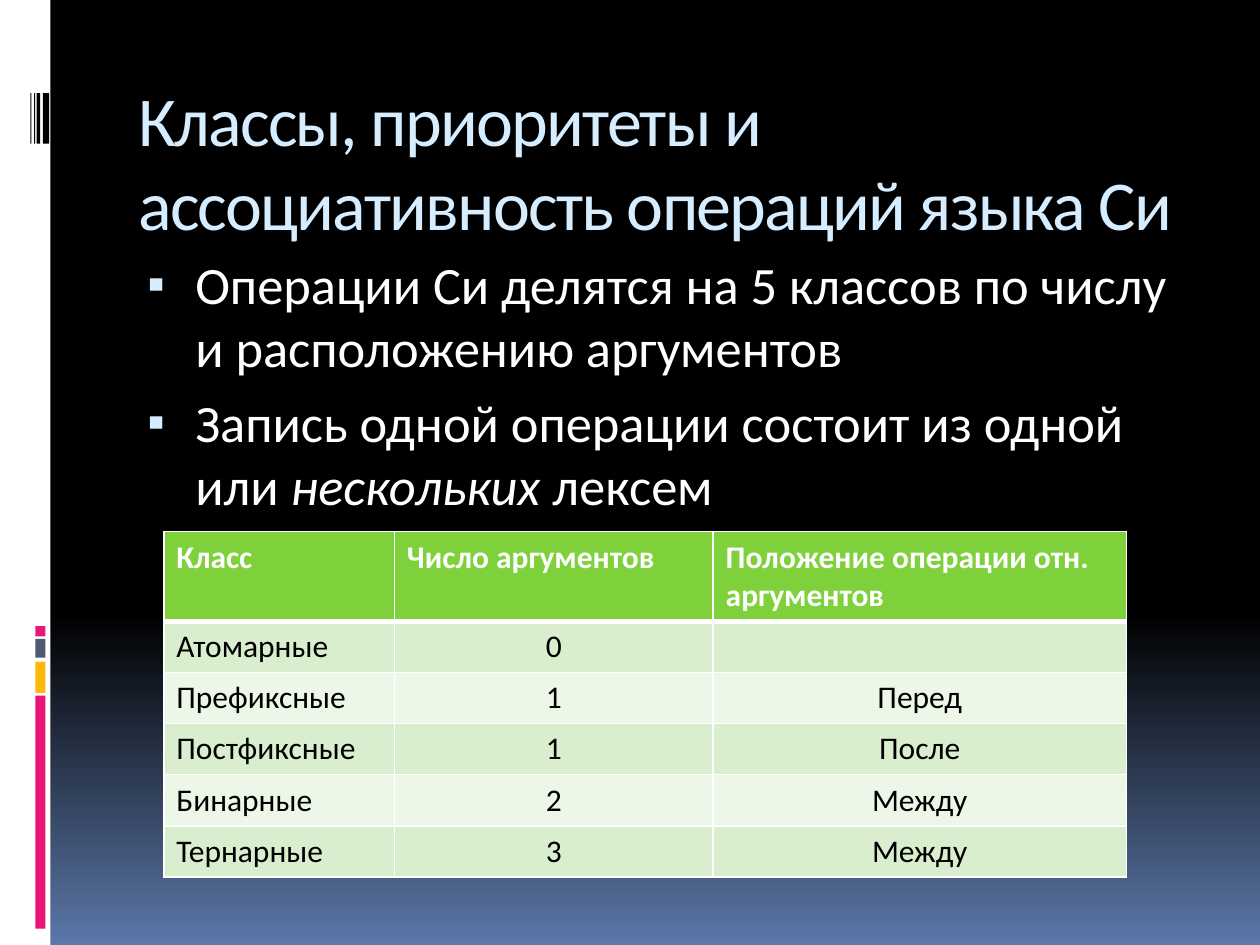
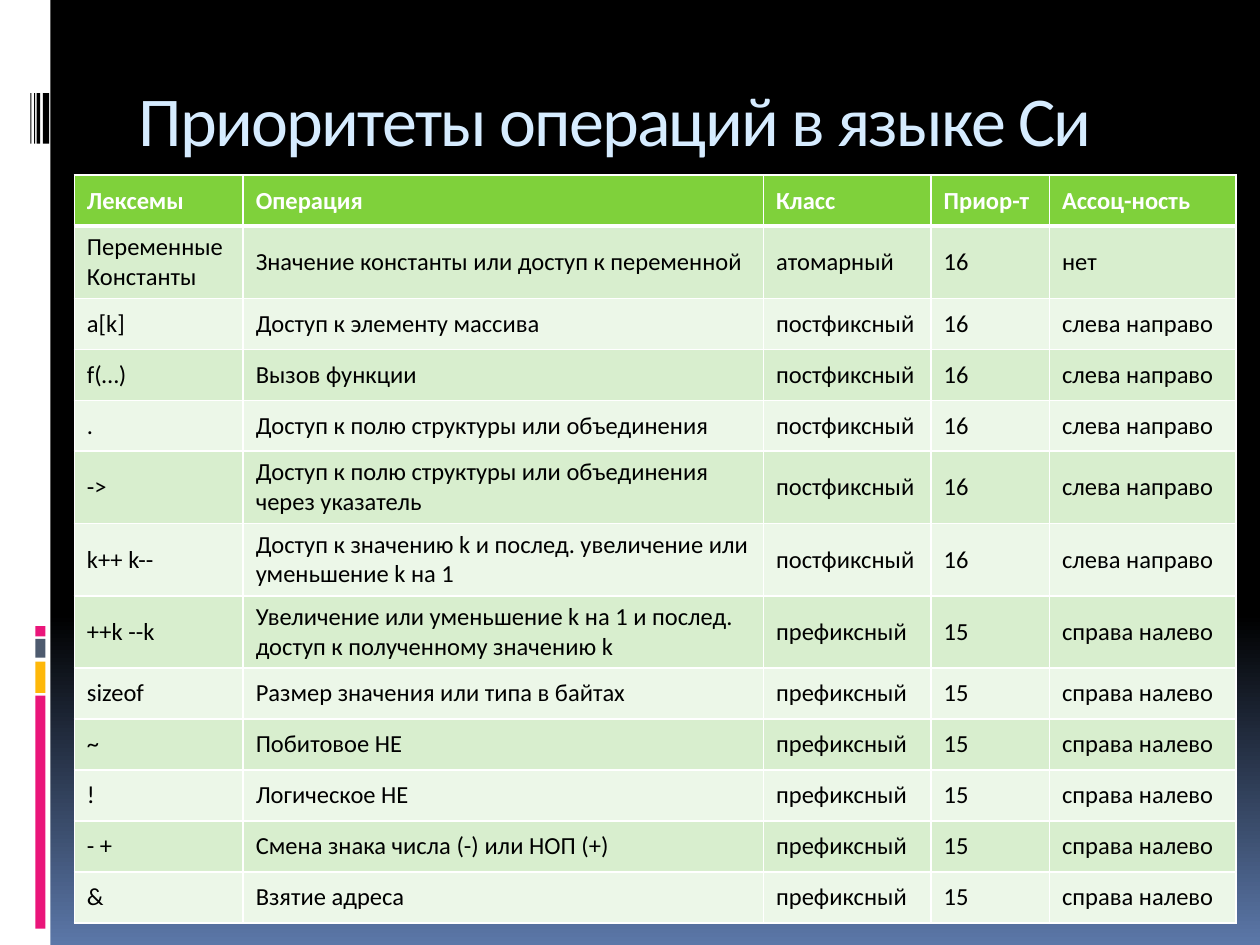
from copy import deepcopy

from lxml import etree
from pptx import Presentation
from pptx import util as u
from pptx.dml.color import RGBColor
from pptx.enum import shapes, text
from pptx.oxml.ns import qn

FONT = "Calibri"
BLACK, WHITE, NIGHT = "000000", "FFFFFF", "5B77A8"
PALE_BLUE, PINK, AMBER, SLATE = "D6ECFF", "EA157A", "FEB80A", "4E5B6F"
HEADER_GREEN, ROW_GREENS = "7FD13B", ("D8EECE", "ECF7E8")

TITLE_BOX = (1, 0.56, 8.5, 1)
BODY_BOX = (1, 1.95, 8.5, 5)
STRIP_BOX = (0, 0, 0.4, 7.5)
CLASSES_BOX = (1.3, 4.22, 7.64, 2.73)
PRIORITIES_BOX = (0.59, 1.39, 9.21, 5.92)


def colour(hex_code):
    """Turn a hex string into a colour."""
    return RGBColor.from_string(hex_code)


def place(part, box):
    """Move a shape to a box given in inches."""
    part.left, part.top, part.width, part.height = map(u.Inches, box)


def add_run(paragraph, words, size, hue, bold=False, italic=False):
    """Append one formatted run and return it."""
    run = paragraph.add_run()
    run.text = words
    font = run.font
    font.name, font.size, font.bold, font.italic = FONT, u.Pt(size), bold, italic
    font.color.rgb = colour(hue)
    return run


def paint_background(master):
    """Give the master a black sky that turns blue at the bottom."""
    fill = master.background.fill
    fill.gradient()
    fill.gradient_angle = 270
    stop_list = next(master.element.iter(qn("a:gsLst")))
    stop_list.insert(1, deepcopy(stop_list[0]))
    for stop, (share, hue) in zip(fill.gradient_stops,
                                  ((0, BLACK), (0.65, BLACK), (1, NIGHT))):
        stop.position = share
        stop.color.rgb = colour(hue)


def add_side_strip(slide, master, box):
    """Draw the white strip with its bars and move it to the master."""
    left, top, width, height = box
    bars = [(0, 0, width, height, WHITE)]
    bars += [(0.28, y, 0.08, tall, hue) for y, tall, hue in (
        (5.52, 1.85, PINK), (5.25, 0.25, AMBER),
        (5.07, 0.15, SLATE), (4.97, 0.08, PINK))]
    bars += [(x, 0.74, wide, 0.4, BLACK) for x, wide in (
        (0.34, 0.05), (0.29, 0.03), (0.27, 0.01), (0.24, 0.01))]
    for depth, (x, y, wide, tall, hue) in enumerate(bars):
        bar = slide.shapes.add_shape(
            shapes.MSO_SHAPE.RECTANGLE,
            *map(u.Inches, (left + x, top + y, wide, tall)))
        bar.shadow.inherit = False
        bar.fill.solid()
        bar.fill.fore_color.rgb = colour(hue)
        bar.line.fill.background()
        master.shapes.element.insert(2 + depth, bar.element)


def prepare_frame(placeholder, box):
    """Place a placeholder and return its emptied, top-anchored text frame."""
    place(placeholder, box)
    frame = placeholder.text_frame
    frame.word_wrap = True
    frame.auto_size = text.MSO_AUTO_SIZE.NONE
    frame.vertical_anchor = text.MSO_ANCHOR.TOP
    return frame


def add_title(slide, words, box=TITLE_BOX):
    """Write the slide title in the shared style."""
    paragraph = prepare_frame(slide.shapes.title, box).paragraphs[0]
    paragraph.alignment = text.PP_ALIGN.LEFT
    run = add_run(paragraph, words, 40, PALE_BLUE)
    run.font._element.set("spc", "-100")


def set_bullet(paragraph):
    """Give a paragraph the hanging square bullet."""
    props = paragraph._p.get_or_add_pPr()
    props.set("marL", str(u.Inches(0.45)))
    props.set("indent", str(u.Inches(-0.38)))
    tint = etree.SubElement(props, qn("a:buClr"))
    etree.SubElement(tint, qn("a:srgbClr"), val=PALE_BLUE)
    etree.SubElement(props, qn("a:buSzPct"), val="95000")
    etree.SubElement(props, qn("a:buChar"), char="▪")


def add_bullets(slide, points, box):
    """Fill the body; each point is a list of (words, italic) runs."""
    frame = prepare_frame(slide.placeholders[1], box)
    for index, point in enumerate(points):
        paragraph = frame.add_paragraph() if index else frame.paragraphs[0]
        paragraph.space_before = u.Pt(7)
        set_bullet(paragraph)
        for words, italic in point:
            add_run(paragraph, words, 30, WHITE, italic=italic)


def set_borders(cell, top, bottom):
    """Draw white cell borders, with the top and bottom widths in points."""
    props = cell._tc.get_or_add_tcPr()
    for side, points in (("L", 1), ("R", 1), ("T", top), ("B", bottom)):
        line = etree.SubElement(props, qn("a:ln" + side), w=str(u.Pt(points)))
        solid = etree.SubElement(line, qn("a:solidFill"))
        etree.SubElement(solid, qn("a:srgbClr"), val=WHITE)


def add_green_table(slide, rows, box, columns, size, tall_rows, tall,
                    centred=(), anchor=text.MSO_ANCHOR.TOP):
    """Add a banded table; rows outside tall_rows share the height left over."""
    table = slide.shapes.add_table(
        len(rows), len(columns), *map(u.Inches, box)).table
    for column, width in zip(table.columns, columns):
        column.width = u.Inches(width)
    short = (box[3] - tall * len(tall_rows)) / (len(rows) - len(tall_rows))
    for r, row in enumerate(rows):
        table.rows[r].height = u.Inches(tall if r in tall_rows else short)
        for c, words in enumerate(row):
            cell = table.cell(r, c)
            set_borders(cell, 3 if r == 1 else 1, 1 if r else 3)
            cell.fill.solid()
            cell.fill.fore_color.rgb = colour(
                ROW_GREENS[(r - 1) % 2] if r else HEADER_GREEN)
            cell.vertical_anchor = anchor
            for n, line in enumerate(words.split("\n") if words else ()):
                frame = cell.text_frame
                paragraph = frame.add_paragraph() if n else frame.paragraphs[0]
                if r and c in centred:
                    paragraph.alignment = text.PP_ALIGN.CENTER
                add_run(paragraph, line, size, BLACK if r else WHITE, bold=not r)


def build_classes_slide(slide):
    """Classes of operations: two points above a table."""
    add_title(slide, "Классы, приоритеты и ассоциативность операций языка Си")
    add_bullets(slide, [
        [("Операции Си делятся на 5 классов по числу и расположению аргументов",
          False)],
        [("Запись одной операции состоит из одной или ", False),
         ("нескольких ", True), ("лексем", False)],
    ], BODY_BOX)
    classes = [
        ("Класс", "Число аргументов", "Положение операции отн. аргументов"),
        ("Атомарные", "0", ""),
        ("Префиксные", "1", "Перед"),
        ("Постфиксные", "1", "После"),
        ("Бинарные", "2", "Между"),
        ("Тернарные", "3", "Между"),
    ]
    add_green_table(slide, classes, CLASSES_BOX, (1.83, 2.53, 3.28), 18,
                    tall_rows=(0,), tall=0.7, centred=(1, 2))


def build_priorities_slide(slide):
    """Priorities of operations: one large table."""
    add_title(slide, "Приоритеты операций в языке Си")
    postfix = ("постфиксный", "16", "слева направо")
    prefix = ("префиксный", "15", "справа налево")
    priorities = [
        ("Лексемы", "Операция", "Класс", "Приор-т", "Ассоц-ность"),
        ("Переменные\nКонстанты", "Значение константы или доступ к переменной",
         "атомарный", "16", "нет"),
        ("a[k]", "Доступ к элементу массива", *postfix),
        ("f(…)", "Вызов функции", *postfix),
        (".", "Доступ к полю структуры или объединения", *postfix),
        ("->", "Доступ к полю структуры или объединения через указатель",
         *postfix),
        ("k++ k--", "Доступ к значению k и послед. увеличение или уменьшение "
         "k на 1", *postfix),
        ("++k --k", "Увеличение или уменьшение k на 1 и послед. доступ к "
         "полученному значению k", *prefix),
        ("sizeof", "Размер значения или типа в байтах", *prefix),
        ("~", "Побитовое НЕ", *prefix),
        ("!", "Логическое НЕ", *prefix),
        ("- +", "Смена знака числа (-) или НОП (+)", *prefix),
        ("&", "Взятие адреса", *prefix),
    ]
    add_green_table(slide, priorities, PRIORITIES_BOX,
                    (1.34, 4.13, 1.33, 0.94, 1.48), 14,
                    tall_rows=(1, 5, 6, 7), tall=0.57,
                    anchor=text.MSO_ANCHOR.MIDDLE)


def main():
    """Build both slides on a shared master and save them."""
    deck = Presentation()
    deck.slide_width, deck.slide_height = u.Inches(10), u.Inches(7.5)
    title_and_body, title_only = deck.slide_layouts[1], deck.slide_layouts[5]
    classes_slide = deck.slides.add_slide(title_and_body)
    paint_background(deck.slide_master)
    add_side_strip(classes_slide, deck.slide_master, STRIP_BOX)
    build_classes_slide(classes_slide)
    build_priorities_slide(deck.slides.add_slide(title_only))
    deck.save("out.pptx")


main()
